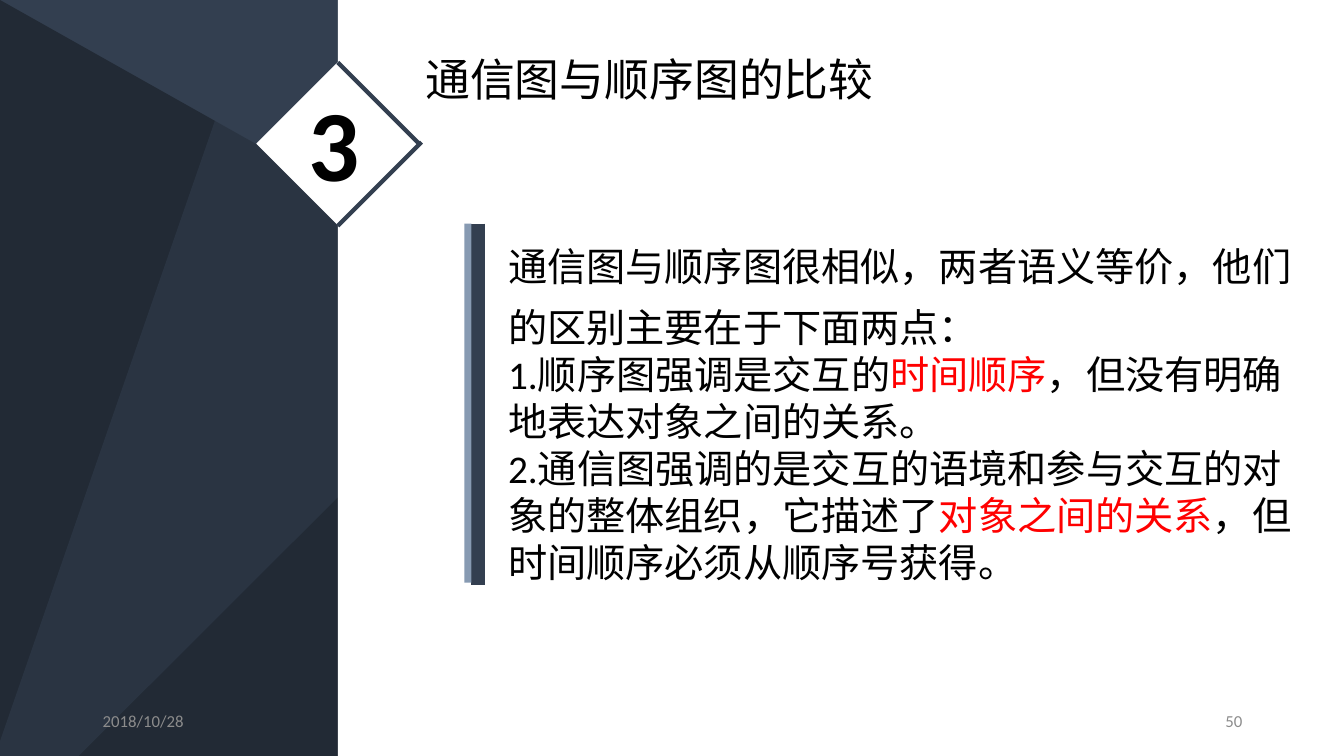
from dataclasses import dataclass

from lxml import etree
from pptx import Presentation
from pptx.dml import color
from pptx.enum import shapes, text
from pptx.oxml import ns
from pptx.util import Inches, Pt

COLORS = {
    "slate": "333F50",
    "night": "222A35",
    "steel": "8497B0",
    "white": "FFFFFF",
    "black": "000000",
    "red": "FF0000",
    "gray": "8C8C8C",
}
KIND = shapes.MSO_SHAPE
ALIGN = text.PP_ALIGN
ANCHOR = text.MSO_ANCHOR


@dataclass
class Block:
    kind: int
    box: tuple[float, float, float, float]
    fill: str
    turn: float = 0
    adjust: float | None = None
    alpha: int = 100


@dataclass
class Line:
    start: tuple[float, float]
    end: tuple[float, float]
    tint: str
    width: float
    alpha: int = 100


@dataclass
class Label:
    box: tuple[float, float, float, float]
    paras: list[list[str]]  # every second run is highlighted
    size: int
    font: str = "Calibri"
    tint: str = "black"
    bold: bool = False
    align: int = ALIGN.LEFT
    anchor: int = ANCHOR.TOP
    inset: tuple[float, float] = (0.1, 0.05)
    lead: float | None = None  # line spacing of the first paragraph


def rgb(name: str) -> color.RGBColor:
    return color.RGBColor.from_string(COLORS[name])


def fade(shape, alpha: int) -> None:
    if alpha < 100:
        tone = next(shape._element.spPr.iter(ns.qn("a:srgbClr")))
        etree.SubElement(tone, ns.qn("a:alpha"), val=str(alpha * 1000))


def draw_block(slide, item: Block) -> None:
    shape = slide.shapes.add_shape(item.kind, *map(Inches, item.box))
    shape.shadow.inherit = False
    shape.rotation = item.turn
    if item.adjust is not None:
        shape.adjustments[0] = item.adjust
    shape.fill.solid()
    shape.fill.fore_color.rgb = rgb(item.fill)
    shape.line.fill.background()
    fade(shape, item.alpha)


def draw_line(slide, item: Line) -> None:
    line = slide.shapes.add_connector(
        shapes.MSO_CONNECTOR.STRAIGHT, *map(Inches, item.start + item.end))
    line.line.color.rgb = rgb(item.tint)
    line.line.width = Pt(item.width)
    fade(line, item.alpha)
    etree.SubElement(line._element.spPr, ns.qn("a:effectLst"))


def draw_label(slide, item: Label) -> None:
    frame = slide.shapes.add_textbox(*map(Inches, item.box)).text_frame
    frame.word_wrap = True
    frame.vertical_anchor = item.anchor
    frame.margin_left = frame.margin_right = Inches(item.inset[0])
    frame.margin_top = frame.margin_bottom = Inches(item.inset[1])
    for i, runs in enumerate(item.paras):
        para = frame.add_paragraph() if i else frame.paragraphs[0]
        para.alignment = item.align
        if i == 0 and item.lead:
            para.line_spacing = item.lead
        para.font.size = Pt(item.size)
        para.font.name = item.font
        para.font.bold = item.bold
        para.font.color.rgb = rgb(item.tint)
        for j, words in enumerate(runs):
            run = para.add_run()
            run.text = words
            if j % 2:
                run.font.color.rgb = rgb("red")


# Faceted backdrop, white page and number diamond
BLOCKS = [
    Block(KIND.ISOSCELES_TRIANGLE, (0, 0, 13.33, 7.5), "night", adjust=0),
    Block(KIND.PARALLELOGRAM, (-0.71, 1.68, 14.74, 4.13), "night", 346.3, alpha=50),
    Block(KIND.ISOSCELES_TRIANGLE, (1.18, -1.16, 5.41, 11.12), "slate", 199.1, 1, 50),
    Block(KIND.RECTANGLE, (3.35, 0, 9.98, 7.5), "white"),
    Block(KIND.RECTANGLE, (2.78, 0.85, 1.15, 1.15), "white", 45),
]

# Diamond edges and the double bar beside the body
LINES = [
    Line((3.35, 0.62), (4.16, 1.43), "slate", 3),
    Line((4.18, 1.41), (3.35, 2.24), "slate", 3),
    Line((4.74, 2.22), (4.74, 5.8), "slate", 10),
    Line((4.64, 2.22), (4.64, 5.78), "steel", 5, 96),
]

BODY = [
    ["通信图与顺序图很相似，两者语义等价，他们的区别主要在于下面两点："],
    ["1.顺序图强调是交互的", "时间顺序", "，但没有明确地表达对象之间的关系。"],
    ["2.通信图强调的是交互的语境和参与交互的对象的整体组织，它描述了",
     "对象之间的关系", "，但时间顺序必须从顺序号获得。"],
]

# Number, title, body and footer
LABELS = [
    Label((2.96, 0.75, 0.75, 1.31), [["3"]], 72, bold=True),
    Label((4.12, 0.46, 4.82, 0.64), [["通信图与顺序图的比较"]], 32, "Noto Sans CJK SC"),
    Label((4.97, 2.22, 8.11, 4.18), BODY, 28, inset=(0.07, 0.04), lead=1.3),
    Label((0.92, 6.95, 3, 0.4), [["2018/10/28"]], 12, tint="gray", anchor=ANCHOR.MIDDLE),
    Label((9.42, 6.95, 3, 0.4), [["50"]], 12, tint="gray", align=ALIGN.RIGHT,
          anchor=ANCHOR.MIDDLE),
]


def main() -> None:
    deck = Presentation()
    deck.slide_width, deck.slide_height = Inches(13.33), Inches(7.5)
    slide = deck.slides.add_slide(deck.slide_layouts[6])
    slide.background.fill.solid()
    slide.background.fill.fore_color.rgb = rgb("slate")
    for block in BLOCKS:
        draw_block(slide, block)
    for line in LINES:
        draw_line(slide, line)
    for label in LABELS:
        draw_label(slide, label)
    deck.save("out.pptx")


if __name__ == "__main__":
    main()
